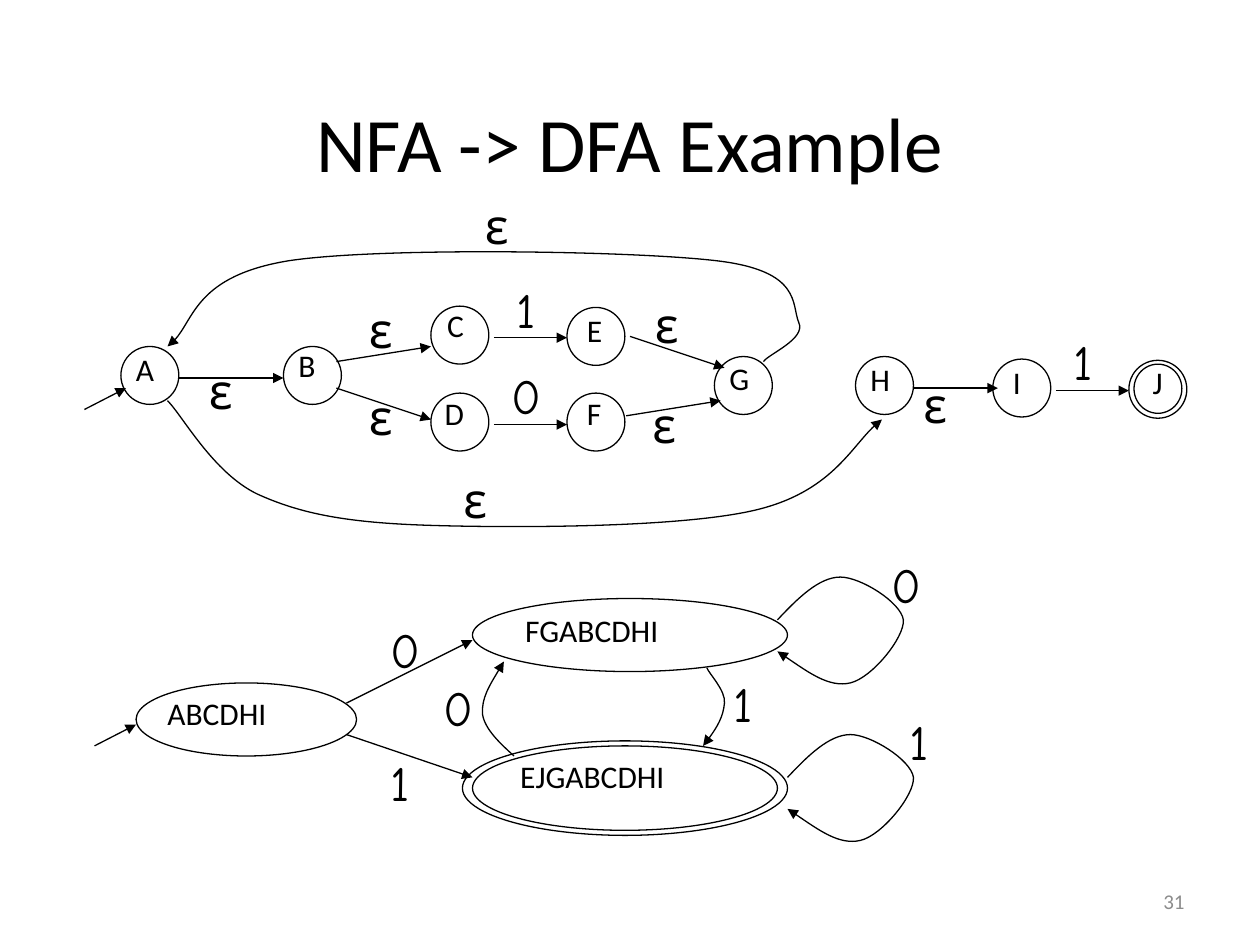
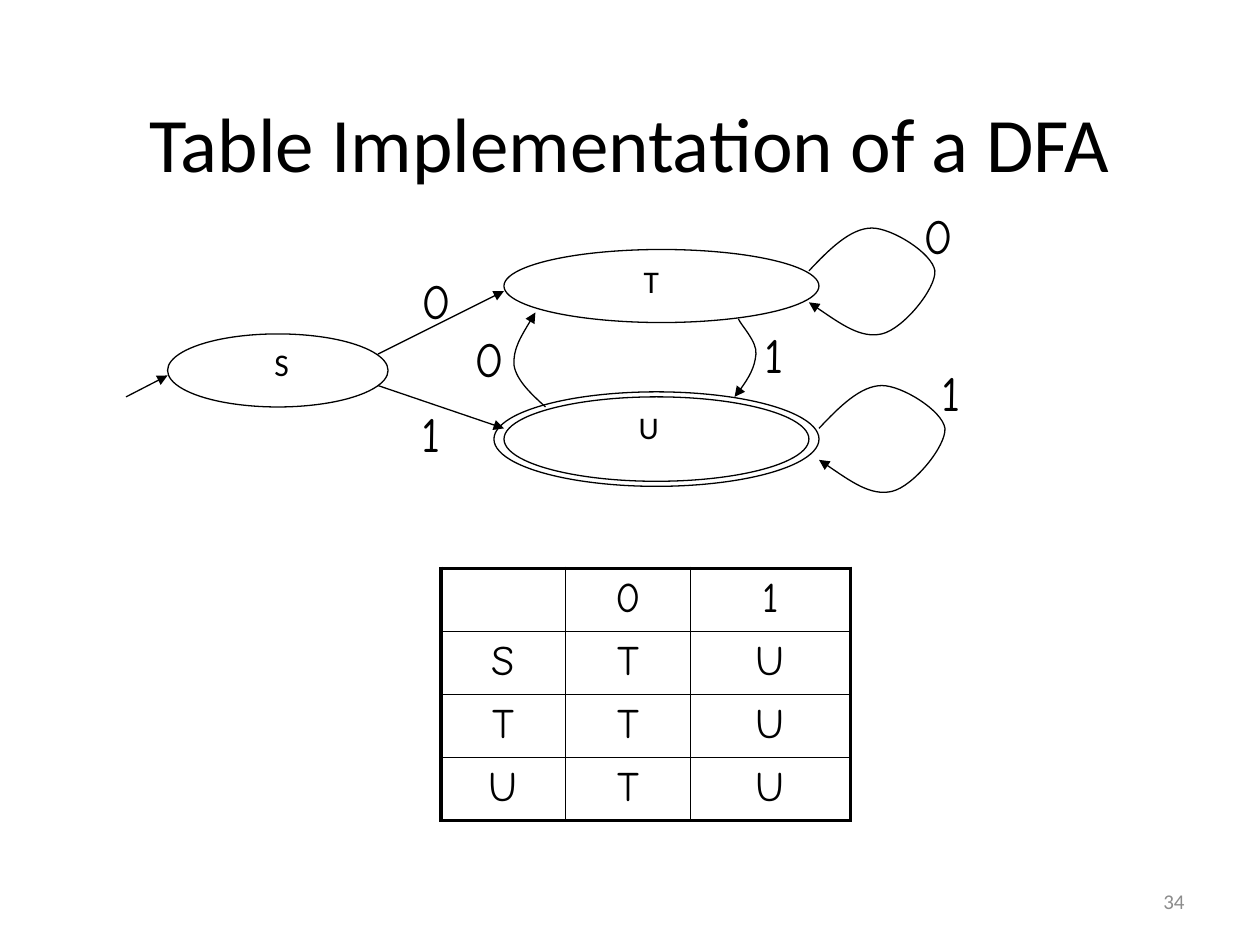
"""Build two slides on finite automata: NFA to DFA conversion and a DFA transition table."""
from dataclasses import dataclass

from lxml import etree
from pptx import Presentation
from pptx import util as u
from pptx.dml.color import RGBColor
from pptx.enum import shapes, text
from pptx.oxml.ns import qn


@dataclass(frozen=True)
class Theme:
    ink: str = "000000"
    muted: str = "8C8C8C"
    body_font: str = "Calibri"
    symbol_font: str = "Comic Neue"
    title_size: float = 44
    symbol_size: float = 28
    table_size: float = 24
    state_size: float = 18
    number_size: float = 12
    thin: float = 0.75
    grid: float = 1
    frame: float = 2.25


THEME = Theme()
CM_PER_INCH = 2.54
SYMBOL_WIDTHS = {"ε": 0.37, "0": 0.44, "1": 0.38}
SYMBOL_HEIGHT, STATE_HEIGHT, CIRCLE = 0.57, 0.5, 0.46

NFA_STATES = [
    ("A", (0.96, 2.75), (0.98, 2.73), 0.44),
    ("B", (2.25, 2.75), (2.27, 2.70), 0.42),
    ("C", (3.42, 2.43), (3.45, 2.38), 0.42),
    ("D", (3.42, 3.12), (3.43, 3.08), 0.44),
    ("E", (4.50, 2.44), (4.56, 2.42), 0.40),
    ("F", (4.50, 3.12), (4.56, 3.08), 0.39),
    ("G", (5.67, 2.83), (5.69, 2.80), 0.44),
    ("H", (6.79, 2.83), (6.81, 2.81), 0.44),
    ("I", (7.88, 2.85), (7.94, 2.83), 0.31),
    ("J", (8.96, 2.86), (9.05, 2.83), 0.33),
]
NFA_ACCEPT_RING = (9, 2.89, 0.38, 0.39)
NFA_ARROWS = [
    ((0.67, 3.25), (1, 3.08)),
    ((1.42, 3), (2.25, 3)),
    ((2.67, 2.87), (3.42, 2.75)),
    ((2.67, 3.08), (3.42, 3.33)),
    ((3.92, 2.68), (4.5, 2.68)),
    ((3.92, 3.37), (4.5, 3.37)),
    ((5, 2.67), (5.75, 2.92)),
    ((4.97, 3.3), (5.72, 3.18)),
    ((7.25, 3.08), (7.92, 3.08)),
    ((8.38, 3.1), (8.96, 3.1)),
]
NFA_CURVES = [
    [(1.33, 3.18), (1.45, 3.3), (1.69, 3.75), (2.04, 3.92), (2.39, 4.08), (2.76, 4.15),
     (3.42, 4.17), (4.07, 4.19), (5.39, 4.19), (5.99, 4.05), (6.59, 3.91), (6.79, 3.48),
     (7, 3.33)],
    [(6.06, 2.87), (6.1, 2.81), (6.4, 2.69), (6.34, 2.56), (6.28, 2.42), (6.37, 2.15),
     (5.69, 2.07), (5.02, 1.99), (3.01, 1.96), (2.29, 2.07), (1.56, 2.19), (1.53, 2.61),
     (1.33, 2.75)],
]
NFA_SYMBOLS = [
    ("1", (4, 2.17)), ("0", (3.96, 2.85)), ("1", (8.42, 2.58)),
    ("ε", (1.56, 2.81)), ("ε", (7.23, 2.92)), ("ε", (2.83, 2.33)),
    ("ε", (5.08, 3.08)), ("ε", (5.1, 2.29)), ("ε", (2.83, 3.02)),
    ("ε", (3.58, 3.68)), ("ε", (3.75, 1.5)),
]

DFA_OVALS = [
    (0.33, 1.07, 1.75, 0.58),
    (3, 0.4, 2.5, 0.58),
    (3, 1.57, 2.42, 0.67),
    (2.92, 1.53, 2.58, 0.75),
]
DFA_LABEL_TOPS = [1.11, 0.45, 1.61]
DFA_ARROWS = [
    ((0, 1.57), (0.33, 1.4)),
    ((2, 1.23), (3, 0.73)),
    ((2, 1.48), (3, 1.82)),
]
SELF_LOOP = [
    (0, 0), (0.16, -0.17), (0.33, -0.34), (0.5, -0.34), (0.66, -0.34), (0.98, -0.14),
    (1, 0), (1.01, 0.14), (0.75, 0.46), (0.58, 0.5), (0.41, 0.54), (0.21, 0.39), (0, 0.25),
]
SELF_LOOP_STARTS = [(5.42, 0.57), (5.5, 1.82)]
DFA_CURVES = [
    [(3.33, 1.65), (3.22, 1.55), (3.1, 1.44), (3.08, 1.32), (3.07, 1.19), (3.16, 1.05),
     (3.25, 0.9)],
    [(4.86, 0.95), (4.88, 1), (5.01, 1.13), (5, 1.23), (4.99, 1.34), (4.92, 1.46),
     (4.83, 1.57)],
]
DFA_SYMBOLS = [
    ("0", (2.25, 0.52)), ("1", (2.25, 1.57)), ("0", (6.23, 0)),
    ("1", (6.37, 1.25)), ("0", (2.67, 0.98)), ("1", (4.97, 0.95)),
]

SUBSET_NAMES = [("ABCDHI", 0.48, 1.48), ("FGABCDHI", 3.32, 1.9), ("EJGABCDHI", 3.28, 2.05)]
SHORT_NAMES = [("S", 1.08, 0.39), ("T", 4.01, 0.4), ("U", 3.97, 0.44)]

TRANSITIONS = [["", "0", "1"], ["S", "T", "U"], ["T", "T", "U"], ["U", "T", "U"]]
TABLE_BOX = (3.5, 4.51, 3.25, 2)
COLUMN_WIDTHS = [0.99, 0.99, 1.27]


def length(inches):
    return u.Cm(inches * CM_PER_INCH)


def lengths(values):
    return [length(value) for value in values]


def shifted(points, origin):
    return [(x + origin[0], y + origin[1]) for x, y in points]


def style_runs(paragraph, font_name, size, color=THEME.ink):
    for run in paragraph.runs:
        run.font.name = font_name
        run.font.size = u.Pt(size)
        run.font.color.rgb = RGBColor.from_string(color)


def style_line(line):
    line.color.rgb = RGBColor.from_string(THEME.ink)
    line.width = u.Pt(THEME.thin)


def add_arrowhead(edge):
    etree.SubElement(edge.element.spPr.find(qn("a:ln")), qn("a:tailEnd"), type="triangle")


def add_text(slide, words, box, font_name, size, color=THEME.ink, align=None):
    holder = slide.shapes.add_textbox(*lengths(box))
    frame = holder.text_frame
    frame.text = words
    frame.word_wrap = align is not None
    if align is None:
        frame.auto_size = text.MSO_AUTO_SIZE.SHAPE_TO_FIT_TEXT
    else:
        frame.vertical_anchor = text.MSO_ANCHOR.MIDDLE
        frame.paragraphs[0].alignment = align
    style_runs(frame.paragraphs[0], font_name, size, color)


def add_state_name(slide, name, left, top, width):
    add_text(slide, name, (left, top, width, STATE_HEIGHT), THEME.body_font, THEME.state_size)


def add_symbols(slide, symbols, origin=(0, 0)):
    for symbol, place in symbols:
        (left, top), = shifted([place], origin)
        add_text(slide, symbol, (left, top, SYMBOL_WIDTHS[symbol], SYMBOL_HEIGHT),
                 THEME.symbol_font, THEME.symbol_size)


def add_oval(slide, box):
    oval = slide.shapes.add_shape(shapes.MSO_SHAPE.OVAL, *lengths(box))
    oval.shadow.inherit = False
    oval.fill.background()
    style_line(oval.line)


def add_arrows(slide, arrows, origin=(0, 0)):
    for ends in arrows:
        start, end = shifted(ends, origin)
        arrow = slide.shapes.add_connector(
            shapes.MSO_CONNECTOR.STRAIGHT, *lengths(start + end))
        style_line(arrow.line)
        add_arrowhead(arrow)
        etree.SubElement(arrow.element.spPr, qn("a:effectLst"))


def add_curve(slide, points):
    start, *controls = [lengths(point) for point in points]
    builder = slide.shapes.build_freeform(*start)
    builder.add_line_segments(controls, close=False)
    curve = builder.convert_to_shape()
    segments = list(curve.element.iter(qn("a:lnTo")))
    for first in range(0, len(segments), 3):
        bezier, *others = segments[first:first + 3]
        for other in others:
            bezier.append(other[0])
            other.getparent().remove(other)
        bezier.tag = qn("a:cubicBezTo")
    curve.shadow.inherit = False
    curve.fill.background()
    style_line(curve.line)
    add_arrowhead(curve)


def add_nfa(slide):
    for name, circle, label, width in NFA_STATES:
        add_oval(slide, circle + (CIRCLE, CIRCLE))
        add_state_name(slide, name, *label, width)
    add_oval(slide, NFA_ACCEPT_RING)
    add_arrows(slide, NFA_ARROWS)
    for curve in NFA_CURVES:
        add_curve(slide, curve)
    add_symbols(slide, NFA_SYMBOLS)


def add_dfa(slide, names, origin):
    for left, top, width, height in DFA_OVALS:
        add_oval(slide, (left + origin[0], top + origin[1], width, height))
    for (name, left, width), top in zip(names, DFA_LABEL_TOPS):
        add_state_name(slide, name, left + origin[0], top + origin[1], width)
    add_arrows(slide, DFA_ARROWS, origin)
    loops = [shifted(SELF_LOOP, start) for start in SELF_LOOP_STARTS]
    for curve in DFA_CURVES + loops:
        add_curve(slide, shifted(curve, origin))
    add_symbols(slide, DFA_SYMBOLS, origin)


def add_borders(cell, outer_sides):
    properties = cell._tc.get_or_add_tcPr()
    for side, outer in zip("LRTB", outer_sides):
        width = u.Pt(THEME.frame if outer else THEME.grid)
        border = etree.SubElement(properties, qn(f"a:ln{side}"), w=str(width))
        fill = etree.SubElement(border, qn("a:solidFill"))
        etree.SubElement(fill, qn("a:srgbClr"), val=THEME.ink)


def add_transition_table(slide):
    last_row, last_column = len(TRANSITIONS) - 1, len(COLUMN_WIDTHS) - 1
    table = slide.shapes.add_table(
        len(TRANSITIONS), len(COLUMN_WIDTHS), *lengths(TABLE_BOX)).table
    table.first_row = table.horz_banding = False
    for column, width in zip(table.columns, COLUMN_WIDTHS):
        column.width = length(width)
    for r, entries in enumerate(TRANSITIONS):
        for c, entry in enumerate(entries):
            cell = table.cell(r, c)
            add_borders(cell, (c == 0, c == last_column, r == 0, r == last_row))
            cell.fill.background()
            cell.text_frame.text = entry
            paragraph = cell.text_frame.paragraphs[0]
            paragraph.alignment = text.PP_ALIGN.CENTER
            style_runs(paragraph, THEME.symbol_font, THEME.table_size)


def add_slide(deck, title, number):
    slide = deck.slides.add_slide(deck.slide_layouts[6])
    add_text(slide, number, (7.17, 6.95, 2.33, 0.4), THEME.body_font, THEME.number_size,
             THEME.muted, text.PP_ALIGN.RIGHT)
    add_text(slide, title, (0.5, 0.5, 9, 1.25), THEME.body_font, THEME.title_size,
             align=text.PP_ALIGN.CENTER)
    return slide


def main():
    deck = Presentation()
    deck.slide_width, deck.slide_height = lengths((10, 7.5))

    conversion = add_slide(deck, "NFA -> DFA Example", "31")
    add_nfa(conversion)
    add_dfa(conversion, SUBSET_NAMES, (0.75, 4.35))

    implementation = add_slide(deck, "Table Implementation of a DFA", "34")
    add_dfa(implementation, SHORT_NAMES, (1, 1.58))
    add_transition_table(implementation)

    deck.save("out.pptx")


if __name__ == "__main__":
    main()
